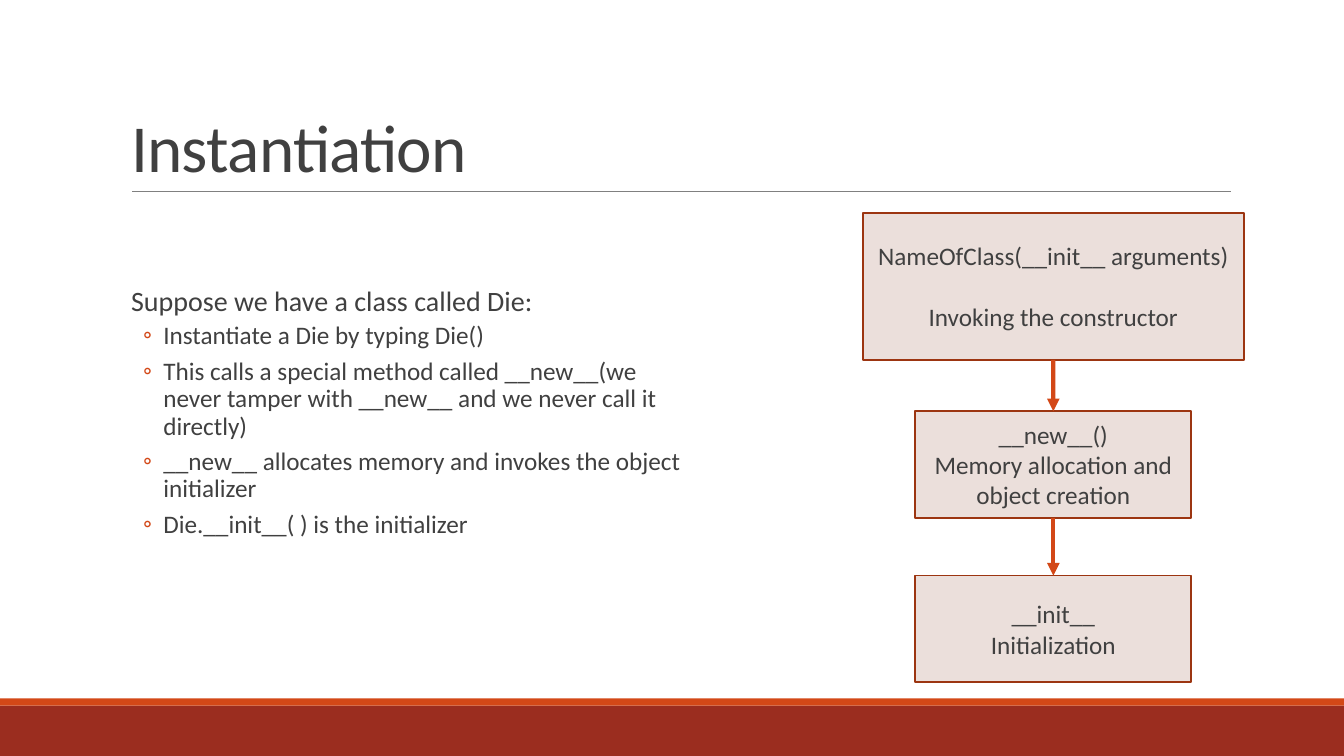
from dataclasses import dataclass
from typing import Any

from lxml import etree
from pptx import Presentation
from pptx import util as u
from pptx.dml import color
from pptx.enum import shapes, text
from pptx.oxml import ns

Pt = u.Pt
FONT, INK, ACCENT = "Calibri", "404040", "D34817"
MID = 752.4  # centre line of the flow chart


@dataclass
class Bar:
    top: float
    height: float
    fill: str


@dataclass
class Box:
    top: float
    width: float
    height: float
    lines: list[str]
    gap: float = 0


BARS = [Bar(504, 36, "9B2D1F"), Bar(498.96, 5.04, ACCENT)]
STEPS = [
    Box(151.92, 272.16, 105.12,
        ["NameOfClass(__init__ arguments)", "Invoking the constructor"], 22),
    Box(293.76, 197.28, 76.32,
        ["__new__()", "Memory allocation and object creation"]),
    Box(411.12, 197.28, 76.32, ["__init__", "Initialization"]),
]
LEAD = "Suppose we have a class called Die:"
POINTS = [
    "Instantiate a Die by typing Die()",
    "This calls a special method called __new__(we never tamper with "
    "__new__ and we never call it directly)",
    "__new__ allocates memory and invokes the object initializer",
    "Die.__init__( ) is the initializer",
]


def rgb(code: str) -> color.RGBColor:
    return color.RGBColor.from_string(code)


def apply(obj: Any, form: dict[str, Any]) -> None:
    for key, val in form.items():
        setattr(obj, key, val)


def child(node: Any, tag: str, **attrs: str) -> Any:
    return etree.SubElement(node, ns.qn(tag), attrs)


def write(para: Any, words: str, size: float, form: dict[str, Any]) -> Any:
    apply(para, form)
    run = para.add_run()
    run.text = words
    apply(run.font, {"name": FONT, "size": Pt(size)})
    run.font.color.rgb = rgb(INK)
    return run


def indent(para: Any, left: float, hang: float, mark: str = "") -> None:
    props = para._p.get_or_add_pPr()
    props.set("marL", str(Pt(left)))
    props.set("indent", str(Pt(-hang)))
    if mark:
        tint = child(props, "a:buClr")
        child(tint, "a:srgbClr", val=ACCENT)
        child(props, "a:buFont", typeface=FONT)
        child(props, "a:buChar", char=mark)
    else:
        child(props, "a:buNone")


def place(shape: Any, left: float, top: float, width: float, height: float) -> None:
    apply(shape, {"left": Pt(left), "top": Pt(top),
                  "width": Pt(width), "height": Pt(height)})


def rect(slide: Any, left: float, top: float, width: float, height: float,
         fill: str) -> Any:
    shape = slide.shapes.add_shape(
        shapes.MSO_SHAPE.RECTANGLE, Pt(left), Pt(top), Pt(width), Pt(height))
    shape.shadow.inherit = False
    shape.fill.solid()
    shape.fill.fore_color.rgb = rgb(fill)
    shape.line.fill.background()
    return shape


def link(slide: Any, start: tuple[float, float], end: tuple[float, float],
         tint: str, width: float) -> Any:
    line = slide.shapes.add_connector(
        shapes.MSO_CONNECTOR.STRAIGHT, *map(Pt, start + end))
    line.line.color.rgb = rgb(tint)
    line.line.width = Pt(width)
    child(line._element.spPr, "a:effectLst")
    return line


def draw_box(slide: Any, box: Box) -> Any:
    shape = rect(slide, MID - box.width / 2, box.top, box.width, box.height, "EBDFDB")
    shape.line.color.rgb = rgb("9C3511")
    shape.line.width = Pt(1.25)
    frame = shape.text_frame
    apply(frame, {"word_wrap": True, "vertical_anchor": text.MSO_ANCHOR.MIDDLE})
    for i, words in enumerate(box.lines):
        para = frame.add_paragraph() if i else frame.paragraphs[0]
        write(para, words, 18, {"alignment": text.PP_ALIGN.CENTER,
                                "space_before": Pt(box.gap if i else 0)})
    return shape


def draw_arrow(slide: Any, start: Box, end: Box, pair: tuple[Any, Any]) -> None:
    line = link(slide, (MID, start.top + start.height), (MID, end.top), ACCENT, 3)
    line.begin_connect(pair[0], 2)
    line.end_connect(pair[1], 0)
    child(line.line._get_or_add_ln(), "a:tailEnd", type="triangle")


def draw_title(shape: Any) -> None:
    place(shape, 86.4, 22.32, 792, 114.48)
    frame = shape.text_frame
    apply(frame, {"auto_size": text.MSO_AUTO_SIZE.NONE, "word_wrap": True,
                  "vertical_anchor": text.MSO_ANCHOR.BOTTOM})
    run = write(frame.paragraphs[0], "Instantiation", 48,
                {"alignment": text.PP_ALIGN.LEFT, "line_spacing": 0.85})
    run.font._element.set("spc", "-50")


def draw_list(shape: Any) -> None:
    place(shape, 86.4, 201.6, 409.68, 260.64)
    frame = shape.text_frame
    apply(frame, {"auto_size": text.MSO_AUTO_SIZE.NONE, "word_wrap": True,
                  "vertical_anchor": text.MSO_ANCHOR.TOP,
                  "margin_left": 0, "margin_right": 0})
    lead = frame.paragraphs[0]
    indent(lead, 7.2, 0)
    write(lead, LEAD, 20, {"line_spacing": 0.9, "space_before": Pt(0),
                           "space_after": Pt(2)})
    for words in POINTS:
        para = frame.add_paragraph()
        indent(para, 30.24, 14.4, "◦")
        write(para, words, 18, {"level": 1, "line_spacing": 0.9,
                                "space_before": Pt(2), "space_after": Pt(4)})


def main() -> None:
    deck = Presentation()
    apply(deck, {"slide_width": Pt(960), "slide_height": Pt(540)})
    slide = deck.slides.add_slide(deck.slide_layouts[1])

    # Footer bars and title rule
    for bar in BARS:
        rect(slide, 0, bar.top, 960, bar.height, bar.fill)
    link(slide, (94.32, 136.8), (879.12, 136.8), "808080", 0.5)

    # Title and list
    draw_title(slide.shapes.title)
    draw_list(slide.placeholders[1])

    # Flow chart
    drawn = [draw_box(slide, box) for box in STEPS]
    for i in range(len(STEPS) - 1):
        draw_arrow(slide, STEPS[i], STEPS[i + 1], (drawn[i], drawn[i + 1]))

    deck.save("out.pptx")


if __name__ == "__main__":
    main()
